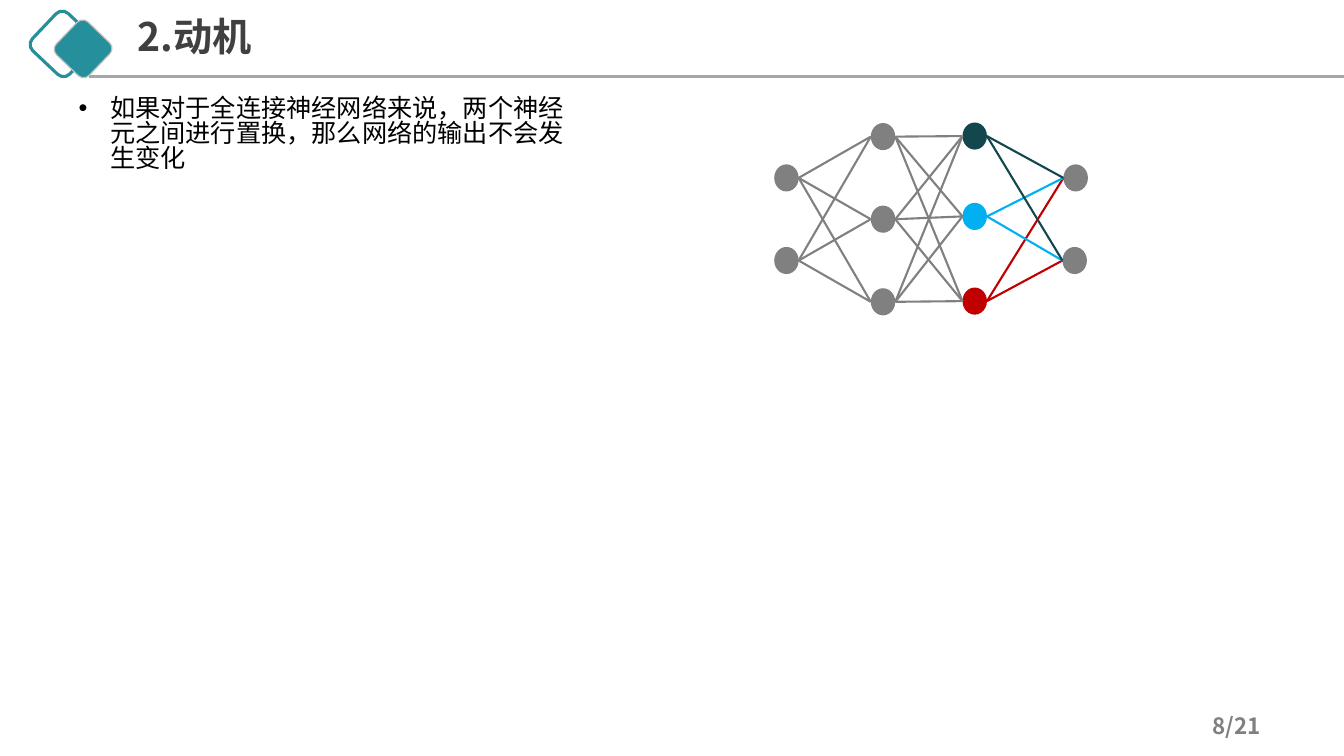
from dataclasses import dataclass
from itertools import pairwise, product

from lxml import etree
from pptx import Presentation
from pptx import util as u
from pptx.dml import color as c
from pptx.enum import shapes, text
from pptx.oxml import ns

FONT = "Noto Sans CJK SC"
COLORS = {
    "teal": "268F9C",
    "dark_teal": "13474E",
    "blue": "00B0F0",
    "red": "C00000",
    "gray": "808080",
    "rule": "A6A6A6",
    "border": "BFBFBF",
    "title": "404040",
    "black": "000000",
}
NODE_W, NODE_H = 17.5, 19.4
ROW_STEP = 59


@dataclass
class Node:
    left: float
    top: float
    color: str = "gray"

    @property
    def right(self) -> float:
        return self.left + NODE_W

    @property
    def middle(self) -> float:
        return self.top + NODE_H / 2


@dataclass
class Diamond:
    left: float
    top: float
    size: float
    angle: float
    line: str
    width: float
    fill: str | None = None


@dataclass
class Label:
    content: str
    left: float
    top: float
    width: float
    height: float
    size: float
    color: str
    bold: bool = False
    spacing: float = 0.82
    bullet: bool = False


INPUTS = [Node(553, 117.4 + ROW_STEP * i) for i in range(2)]
HIDDEN = [Node(622, 87.9 + ROW_STEP * i) for i in range(3)]
SWAPPED = [
    Node(687.5, 87.5, "dark_teal"),
    Node(687.5, 144.9, "blue"),
    Node(687.5, 205.4, "red"),
]
OUTPUTS = [Node(759.6, 117.4), Node(758.9, 117.4 + ROW_STEP)]
LAYERS = [INPUTS, HIDDEN, SWAPPED, OUTPUTS]

BACK = Diamond(26.6, 13, 36.7, 43.4, "teal", 2.25)
FRONT = Diamond(43.2, 18.7, 32.4, 43.9, "border", 0.85, "teal")

LABELS = [
    Label("2.动机", 91.4, 12.2, 833.8, 42.5, 28, "title", bold=True, spacing=0.78),
    Label(
        "如果对于全连接神经网络来说，两个神经元之间进行置换，那么网络的输出不会发生变化",
        49, 66.5, 370, 72.7, 18, "black", bullet=True,
    ),
    Label("8/21", 859, 508.8, 74.9, 26.6, 16, "gray", bold=True),
]


def rgb(name: str) -> c.RGBColor:
    return c.RGBColor.from_string(COLORS[name])


def add_line(s, x1: float, y1: float, x2: float, y2: float, color: str, width: float) -> None:
    cx = s.shapes.add_connector(
        shapes.MSO_CONNECTOR.STRAIGHT, u.Pt(x1), u.Pt(y1), u.Pt(x2), u.Pt(y2)
    )
    cx.line.color.rgb = rgb(color)
    cx.line.width = u.Pt(width)
    etree.SubElement(cx._element.spPr, ns.qn("a:effectLst"))


def add_diamond(s, d: Diamond) -> None:
    sp = s.shapes.add_shape(
        shapes.MSO_SHAPE.ROUNDED_RECTANGLE, u.Pt(d.left), u.Pt(d.top), u.Pt(d.size), u.Pt(d.size)
    )
    sp.rotation = d.angle
    sp.shadow.inherit = False
    sp.line.color.rgb = rgb(d.line)
    sp.line.width = u.Pt(d.width)
    if d.fill:
        sp.fill.solid()
        sp.fill.fore_color.rgb = rgb(d.fill)
    else:
        sp.fill.background()


def add_node(s, node: Node) -> None:
    sp = s.shapes.add_shape(
        shapes.MSO_SHAPE.OVAL, u.Pt(node.left), u.Pt(node.top), u.Pt(NODE_W), u.Pt(NODE_H)
    )
    sp.shadow.inherit = False
    sp.fill.solid()
    sp.fill.fore_color.rgb = rgb(node.color)
    sp.line.fill.background()


def add_label(s, label: Label) -> None:
    sp = s.shapes.add_textbox(
        u.Pt(label.left), u.Pt(label.top), u.Pt(label.width), u.Pt(label.height)
    )
    tf = sp.text_frame
    tf.word_wrap = True
    tf.vertical_anchor = text.MSO_ANCHOR.TOP
    p = tf.paragraphs[0]
    p.text = label.content
    p.line_spacing = label.spacing
    if label.bullet:
        pPr = p._p.get_or_add_pPr()
        pPr.set("marL", str(u.Pt(22.5)))
        pPr.set("indent", str(u.Pt(-22.5)))
        etree.SubElement(pPr, ns.qn("a:buFont")).set("typeface", "Arial")
        etree.SubElement(pPr, ns.qn("a:buChar")).set("char", "•")
    for r in p.runs:
        r.font.size = u.Pt(label.size)
        r.font.bold = label.bold
        r.font.color.rgb = rgb(label.color)
        r.font.name = FONT
        etree.SubElement(r._r.get_or_add_rPr(), ns.qn("a:ea")).set("typeface", FONT)


def main() -> None:
    prs = Presentation()
    prs.slide_width, prs.slide_height = u.Pt(960), u.Pt(540)
    s = prs.slides.add_slide(prs.slide_layouts[6])

    add_diamond(s, BACK)
    add_line(s, 63.4, 54.7, 960, 54.7, "rule", 2.25)
    add_diamond(s, FRONT)

    for layer in LAYERS:
        for node in layer:
            add_node(s, node)
    for sources, targets in pairwise(LAYERS):
        for a, b in product(reversed(sources), targets):
            add_line(s, a.right, a.middle, b.left, b.middle, a.color, 1.5)

    for label in LABELS:
        add_label(s, label)
    prs.save("out.pptx")


if __name__ == "__main__":
    main()
